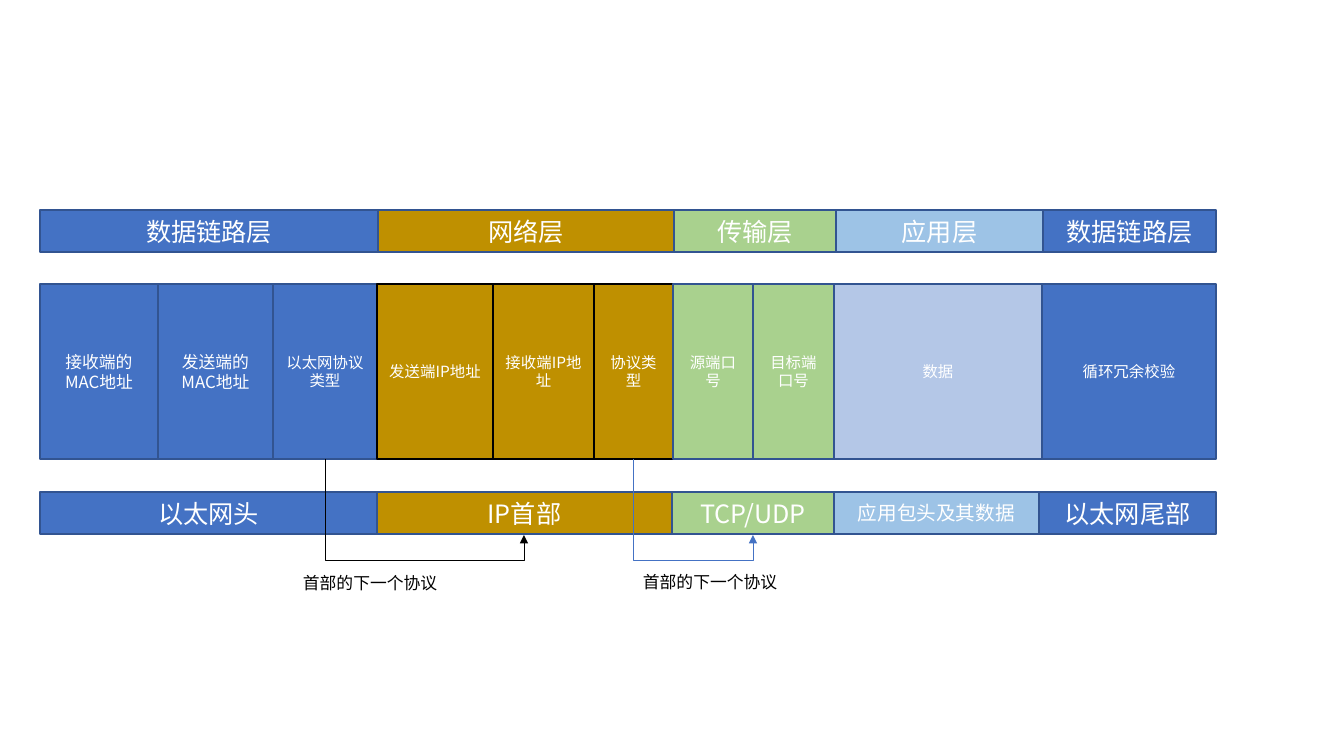
from dataclasses import dataclass
from itertools import pairwise

import lxml.etree
import pptx
import pptx.dml.color
import pptx.enum.shapes
import pptx.enum.text
import pptx.oxml.ns
import pptx.util

SCALE = 914400 / 100.8


@dataclass(frozen=True)
class Theme:
    """Colours, type sizes and line widths of the slide."""
    font: str = "Noto Sans CJK SC"
    blue: str = "4472C4"
    gold: str = "BF9000"
    green: str = "A9D18E"
    sky: str = "9DC3E6"
    pale: str = "B4C7E7"
    edge: str = "325491"
    black: str = "000000"
    white: str = "FFFFFF"
    head: float = 18
    mid: float = 14
    note: float = 12
    small: float = 11
    rule: float = 1
    thin: float = 0.5


THEME = Theme()


@dataclass(frozen=True)
class Cell:
    """One labelled box in a packet row."""
    label: str
    fill: str
    size: float = THEME.head
    edge: str = THEME.edge


@dataclass(frozen=True)
class Row:
    """A band of touching cells, split at the given x edges."""
    top: int
    height: int
    edges: tuple[int, ...]
    cells: tuple[Cell, ...]


@dataclass(frozen=True)
class Hop:
    """An arrow from a type field to the next header, with its note."""
    start: int
    end: int
    color: str
    left: int
    top: int
    width: int
    wrap: bool


LAYERS = Row(210, 42, (40, 378, 674, 836, 1043, 1216), (
    Cell("数据链路层", THEME.blue),
    Cell("网络层", THEME.gold),
    Cell("传输层", THEME.green),
    Cell("应用层", THEME.sky),
    Cell("数据链路层", THEME.blue),
))
FIELDS = Row(284, 175, (40, 158, 273, 377, 493, 594, 673, 753, 834, 1042, 1216), (
    Cell("接收端的MAC地址", THEME.blue, THEME.note),
    Cell("发送端的MAC地址", THEME.blue, THEME.note),
    Cell("以太网协议类型", THEME.blue, THEME.small),
    Cell("发送端IP地址", THEME.gold, THEME.small, THEME.black),
    Cell("接收端IP地址", THEME.gold, THEME.small, THEME.black),
    Cell("协议类型", THEME.gold, THEME.small, THEME.black),
    Cell("源端口号", THEME.green, THEME.small),
    Cell("目标端口号", THEME.green, THEME.small),
    Cell("数据", THEME.pale, THEME.small),
    Cell("循环冗余校验", THEME.blue, THEME.small),
))
PARTS = Row(492, 42, (40, 377, 672, 834, 1039, 1216), (
    Cell("以太网头", THEME.blue),
    Cell("IP首部", THEME.gold),
    Cell("TCP/UDP", THEME.green),
    Cell("应用包头及其数据", THEME.sky, THEME.mid),
    Cell("以太网尾部", THEME.blue),
))
HOPS = (
    Hop(633, 753, THEME.blue, 633, 567, 156, False),
    Hop(325, 524, THEME.black, 293, 568, 246, True),
)
NOTE = "首部的下一个协议"
NOTE_HEIGHT = 30
HOP_TOP, HOP_END, HOP_LOW = 459, 535, 560


def px(count: float) -> int:
    """Turn pixels into EMU."""
    return round(count * SCALE)


def rgb(code: str) -> pptx.dml.color.RGBColor:
    """Read a hex colour."""
    return pptx.dml.color.RGBColor.from_string(code)


def add_tag(parent, tag: str, **attrs: str) -> None:
    """Append one XML child with the given attributes."""
    lxml.etree.SubElement(parent, pptx.oxml.ns.qn(tag), attrs)


def write(frame, text: str, size: float, color: str, align) -> None:
    """Put one styled paragraph in a text frame."""
    line = frame.paragraphs[0]
    line.text = text
    line.alignment = align
    line.font.size = pptx.util.Pt(size)
    line.font.color.rgb = rgb(color)
    line.font.name = THEME.font
    props = line._p.get_or_add_pPr().find(pptx.oxml.ns.qn("a:defRPr"))
    add_tag(props, "a:ea", typeface=THEME.font)


def add_row(slide, row: Row) -> None:
    """Draw every cell of a row between its edges."""
    for cell, (left, right) in zip(row.cells, pairwise(row.edges)):
        box = slide.shapes.add_shape(
            pptx.enum.shapes.MSO_SHAPE.RECTANGLE,
            px(left), px(row.top), px(right - left), px(row.height))
        box.shadow.inherit = False
        box.fill.solid()
        box.fill.fore_color.rgb = rgb(cell.fill)
        box.line.color.rgb = rgb(cell.edge)
        box.line.width = pptx.util.Pt(THEME.rule)
        box.text_frame.word_wrap = True
        box.text_frame.vertical_anchor = pptx.enum.text.MSO_ANCHOR.MIDDLE
        write(box.text_frame, cell.label, cell.size, THEME.white,
              pptx.enum.text.PP_ALIGN.CENTER)


def add_arrow(slide, hop: Hop) -> None:
    """Draw an elbow that dips below the header and turns back up."""
    rise, span = HOP_END - HOP_TOP, hop.end - hop.start
    left = (hop.start + hop.end - rise) / 2
    top = (HOP_TOP + HOP_END - span) / 2
    arrow = slide.shapes.add_connector(
        pptx.enum.shapes.MSO_CONNECTOR.ELBOW,
        px(left), px(top), px(left + rise), px(top + span))
    arrow.line.color.rgb = rgb(hop.color)
    arrow.line.width = pptx.util.Pt(THEME.thin)
    props = arrow._element.spPr
    frame = props.find(pptx.oxml.ns.qn("a:xfrm"))
    frame.set("rot", str(270 * 60000))
    frame.set("flipH", "1")
    guides = props.find(".//" + pptx.oxml.ns.qn("a:avLst"))
    dip = round((HOP_LOW - HOP_TOP) / rise * 100000)
    add_tag(guides, "a:gd", name="adj1", fmla=f"val {dip}")
    add_tag(props.find(pptx.oxml.ns.qn("a:ln")), "a:tailEnd", type="triangle")
    add_tag(props, "a:effectLst")


def add_note(slide, hop: Hop) -> None:
    """Write the note under an arrow."""
    box = slide.shapes.add_textbox(
        px(hop.left), px(hop.top), px(hop.width), px(NOTE_HEIGHT))
    box.text_frame.word_wrap = hop.wrap
    box.text_frame.auto_size = pptx.enum.text.MSO_AUTO_SIZE.SHAPE_TO_FIT_TEXT
    write(box.text_frame, NOTE, THEME.note, THEME.black,
          pptx.enum.text.PP_ALIGN.LEFT)


def main() -> None:
    """Build and save the slide."""
    deck = pptx.Presentation()
    deck.slide_width, deck.slide_height = px(1344), px(756)
    slide = deck.slides.add_slide(deck.slide_layouts.get_by_name("Blank"))
    for row in (FIELDS, PARTS, LAYERS):
        add_row(slide, row)
    for hop in HOPS:
        add_arrow(slide, hop)
        add_note(slide, hop)
    deck.save("out.pptx")


main()
